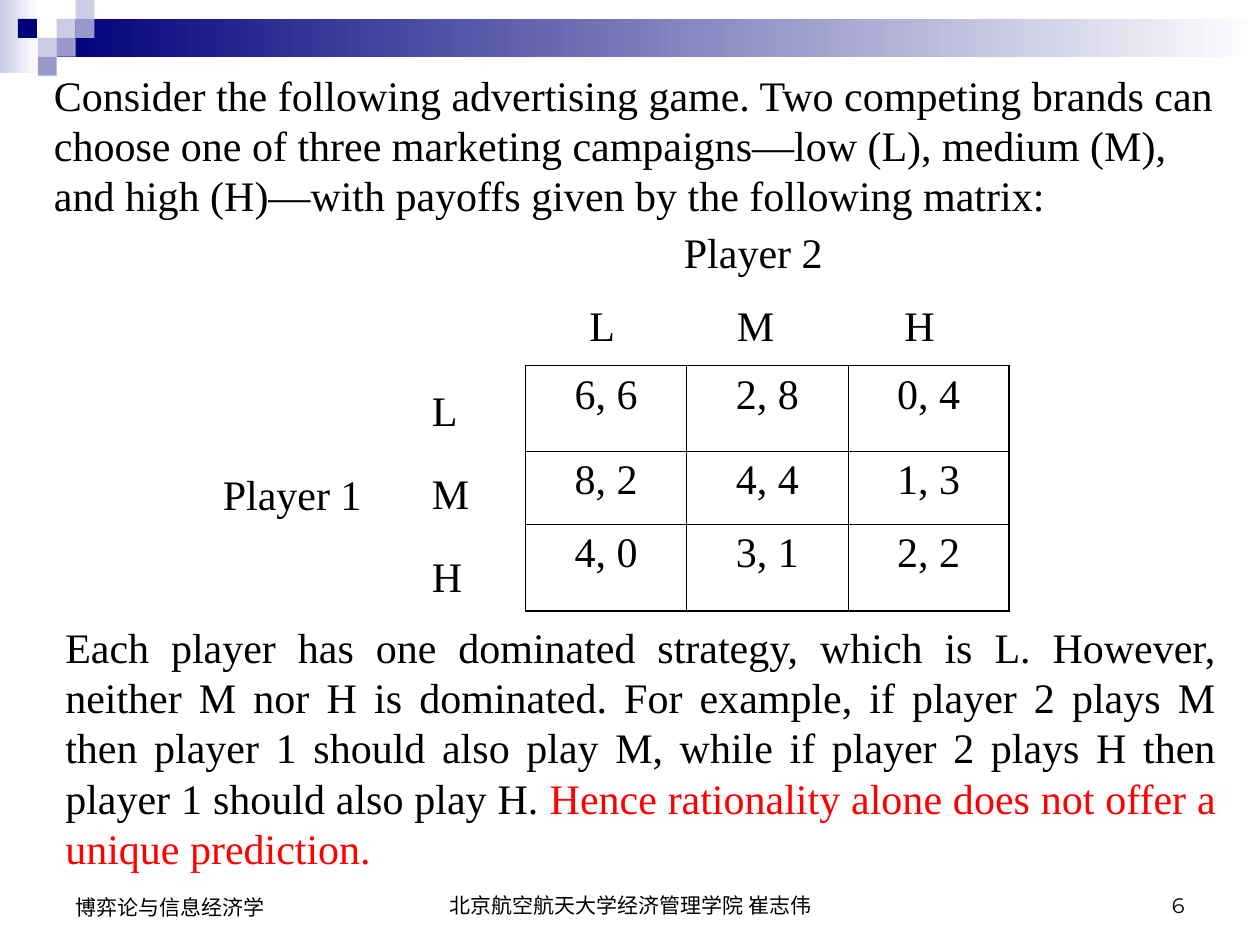
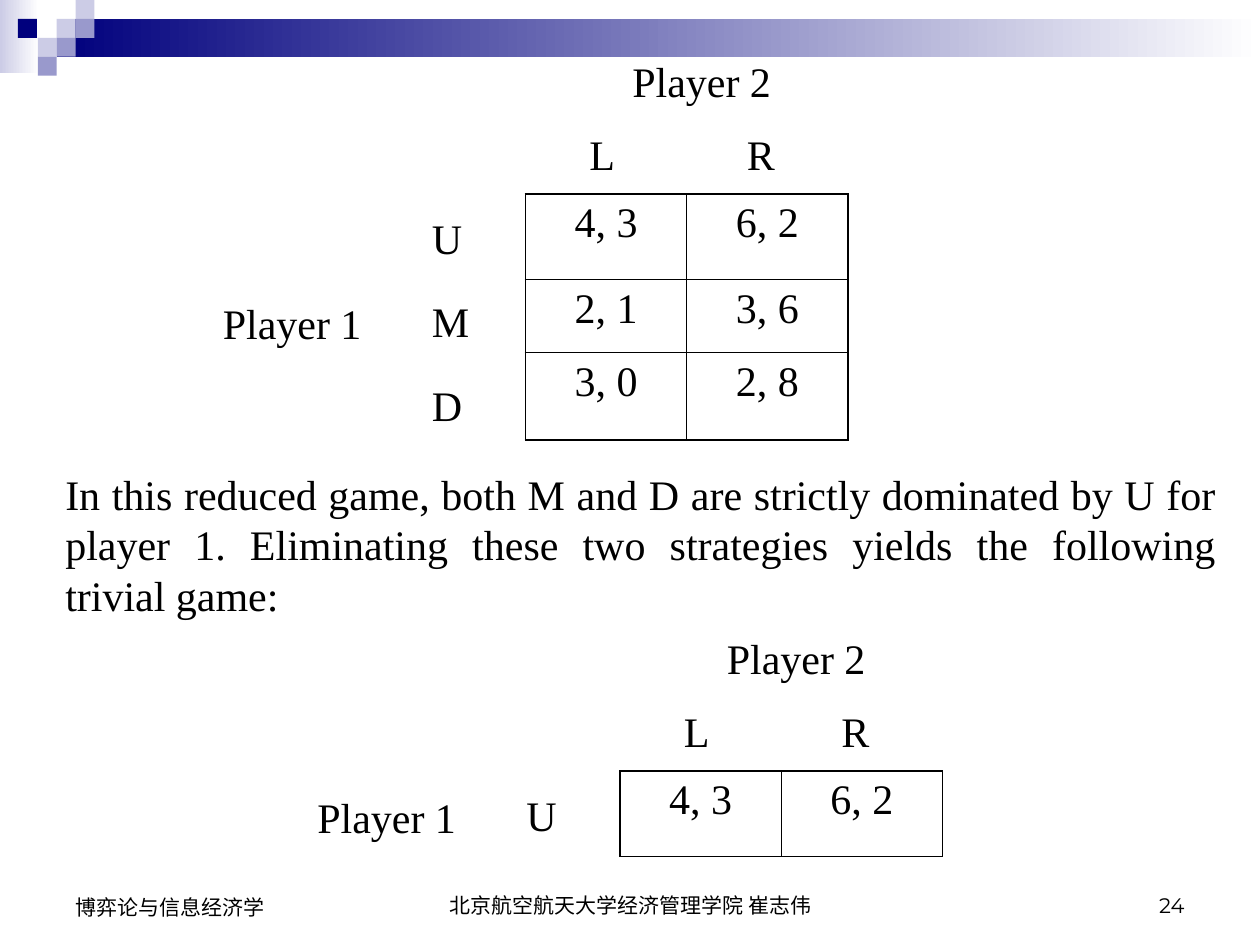
"""Build two game theory slides with payoff matrices."""
from lxml.etree import SubElement
from pptx import Presentation
from pptx.dml.color import RGBColor
from pptx.enum.shapes import MSO_SHAPE
from pptx.enum.text import MSO_ANCHOR, MSO_AUTO_SIZE, PP_ALIGN
from pptx.oxml.ns import qn
from pptx.util import Inches, Pt

NAVY = RGBColor(0x00, 0x00, 0x7D)
LAVENDER = RGBColor(0xCC, 0xCC, 0xE6)
VIOLET = RGBColor(0x99, 0x99, 0xCC)
WHITE = RGBColor(0xFF, 0xFF, 0xFF)
BLACK = RGBColor(0x00, 0x00, 0x00)
RED = RGBColor(0xFF, 0x00, 0x00)
SERIF, SANS, NUMBER_FONT = "Times New Roman", "Arial", "Montserrat"

TILE = 0.15
BANDS = [((0, 0, 0.31, 0.58), LAVENDER), ((0.45, TILE, 9.55, 0.3), NAVY)]
TILES = [
    (3, 1, LAVENDER), (4, 0, LAVENDER), (4, 1, VIOLET), (2, 2, LAVENDER),
    (0.95, 1, NAVY), (3, 2, VIOLET), (2, 3, VIOLET),
]
COURSE = "博弈论与信息经济学"
SCHOOL = "北京航空航天大学经济管理学院 崔志伟"

CELL_W = 1.28
ROW_HEIGHTS = [0.68, 0.58, 0.69]
LABEL_STEP = 0.66
THIN, THICK = Pt(0.45), Pt(1.08)

SLIDES = [
    {
        "number": "6",
        "texts": [
            ((0.33, 0.5, 9.5, 1.3), PP_ALIGN.LEFT, [
                ("Consider the following advertising game. Two competing brands can "
                 "choose one of three marketing campaigns—low (L), medium (M), and "
                 "high (H)—with payoffs given by the following matrix:", BLACK)]),
            ((0.42, 4.88, 9.33, 2.1), PP_ALIGN.JUSTIFY, [
                ("Each player has one dominated strategy, which is L. However, "
                 "neither M nor H is dominated. For example, if player 2 plays M "
                 "then player 1 should also play M, while if player 2 plays H then "
                 "player 1 should also play H. ", BLACK),
                ("Hence rationality alone does not offer a unique prediction.", RED)]),
        ],
        "games": [{
            "at": (4.17, 2.9), "player2": 1.16, "rows": "LMH",
            "cols": [("L", 0.41), ("M", 1.58), ("H", 2.91)],
            "payoffs": [["6, 6", "2, 8", "0, 4"],
                        ["8, 2", "4, 4", "1, 3"],
                        ["4, 0", "3, 1", "2, 2"]],
        }],
    },
    {
        "number": "24",
        "texts": [
            ((0.42, 3.67, 9.33, 1.3), PP_ALIGN.JUSTIFY, [
                ("In this reduced game, both M and D are strictly dominated by U "
                 "for player 1. Eliminating these two strategies yields the "
                 "following trivial game:", BLACK)]),
        ],
        "games": [
            {
                "at": (4.17, 1.54), "player2": 0.75, "rows": "UMD",
                "cols": [("L", 0.41), ("R", 1.66)],
                "payoffs": [["4, 3", "6, 2"], ["2, 1", "3, 6"], ["3, 0", "2, 8"]],
            },
            {
                "at": (4.92, 6.12), "player2": 0.75, "rows": "U",
                "cols": [("L", 0.41), ("R", 1.66)],
                "payoffs": [["4, 3", "6, 2"]],
            },
        ],
    },
]


def add_text(s, box, runs, align=PP_ALIGN.LEFT, size=24, font=SERIF, footer=False):
    tf = s.shapes.add_textbox(*map(Inches, box)).text_frame
    tf.word_wrap = True
    tf.auto_size = MSO_AUTO_SIZE.NONE if footer else MSO_AUTO_SIZE.SHAPE_TO_FIT_TEXT
    tf.vertical_anchor = MSO_ANCHOR.BOTTOM if footer else MSO_ANCHOR.TOP
    p = tf.paragraphs[0]
    p.alignment = align
    p.font.size, p.font.name = Pt(size), font
    for text, color in runs:
        r = p.add_run()
        r.text = text
        r.font.color.rgb = color


def add_rect(s, box, color, fade=False):
    sp = s.shapes.add_shape(MSO_SHAPE.RECTANGLE, *map(Inches, box))
    sp.shadow.inherit = False
    sp.line.fill.background()
    if fade:
        sp.fill.gradient()
        sp.fill.gradient_angle = 0
        for stop, rgb in zip(sp.fill.gradient_stops, (color, WHITE)):
            stop.color.rgb = rgb
    else:
        sp.fill.solid()
        sp.fill.fore_color.rgb = color


def add_frame(s, number):
    for box, color in BANDS:
        add_rect(s, box, color, fade=True)
    for col, row, color in TILES:
        add_rect(s, (col * TILE, row * TILE, TILE, TILE), color)
    for box, text, align, font in [
        ((3.42, 6.83, 3.17, 0.5), SCHOOL, PP_ALIGN.CENTER, SANS),
        ((7.17, 6.83, 2.33, 0.5), number, PP_ALIGN.RIGHT, NUMBER_FONT),
        ((0.5, 6.83, 2.33, 0.52), COURSE, PP_ALIGN.LEFT, SANS),
    ]:
        add_text(s, box, [(text, BLACK)], align, 12, font, footer=True)


def set_borders(cell, thick_sides):
    tcPr = cell._tc.get_or_add_tcPr()
    for side in "LRTB":
        width = THICK if side in thick_sides else THIN
        ln = SubElement(tcPr, qn(f"a:ln{side}"), w=str(width))
        fill = SubElement(ln, qn("a:solidFill"))
        SubElement(fill, qn("a:srgbClr"), val=str(BLACK))


def add_payoffs(s, x, y, payoffs):
    n_rows, n_cols = len(payoffs), len(payoffs[0])
    heights = ROW_HEIGHTS[:n_rows]
    table = s.shapes.add_table(n_rows, n_cols, Inches(x), Inches(y),
                               Inches(CELL_W * n_cols), Inches(sum(heights))).table
    table.first_row = table.horz_banding = False
    for column in table.columns:
        column.width = Inches(CELL_W)
    for i, values in enumerate(payoffs):
        table.rows[i].height = Inches(heights[i])
        for j, value in enumerate(values):
            cell = table.cell(i, j)
            cell.text = value
            p = cell.text_frame.paragraphs[0]
            p.alignment = PP_ALIGN.CENTER
            p.font.size, p.font.name = Pt(24), SERIF
            p.font.color.rgb = BLACK
            outer = {"L": j == 0, "R": j == n_cols - 1, "T": i == 0,
                     "B": 0 < i == n_rows - 1}
            set_borders(cell, [side for side, edge in outer.items() if edge])
            cell.fill.background()


def add_game(s, game):
    x, y = game["at"]
    add_payoffs(s, x, y, game["payoffs"])
    middle = LABEL_STEP * (len(game["rows"]) - 1) / 2
    labels = [("Player 2", x + game["player2"], y - 1.15, 1.83),
              ("Player 1", x - 2.5, y + 0.11 + middle, 1.33)]
    places = [(name, x - 0.84, y + 0.1 + LABEL_STEP * i)
              for i, name in enumerate(game["rows"])]
    places += [(name, x + dx, y - 0.57) for name, dx in game["cols"]]
    labels += [(name, left, top, 0.5 if name in "LU" else 0.58)
               for name, left, top in places]
    for text, left, top, width in labels:
        add_text(s, (left, top, width, 0.5), [(text, BLACK)])


def main():
    prs = Presentation()
    prs.slide_width, prs.slide_height = Inches(10), Inches(7.5)
    for content in SLIDES:
        s = prs.slides.add_slide(prs.slide_layouts[6])
        add_frame(s, content["number"])
        for game in content["games"]:
            add_game(s, game)
        for box, align, runs in content["texts"]:
            add_text(s, box, runs, align)
    prs.save("out.pptx")


if __name__ == "__main__":
    main()
